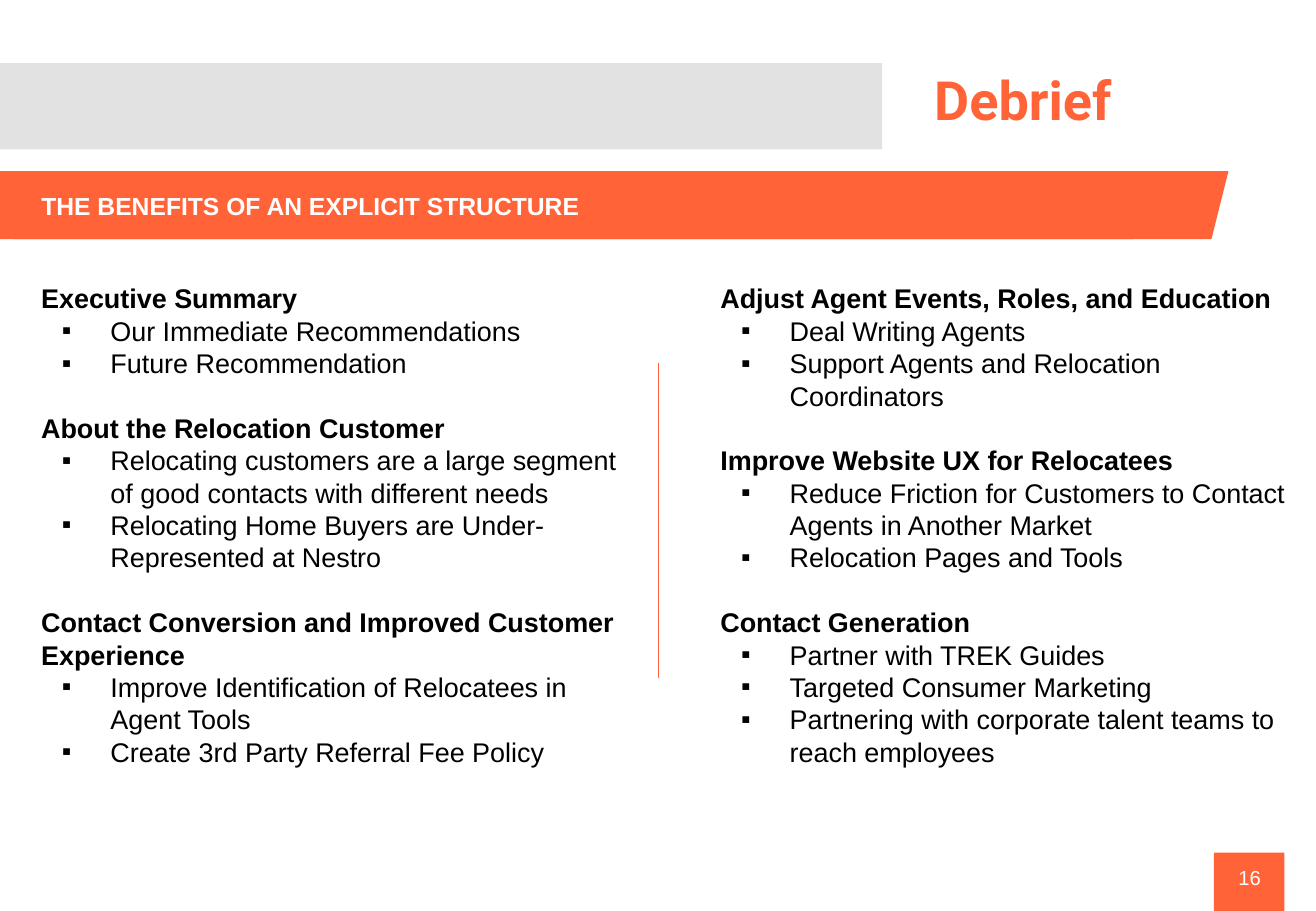
from lxml.etree import SubElement
from pptx import Presentation
from pptx.dml.color import RGBColor
from pptx.enum.shapes import MSO_CONNECTOR, MSO_SHAPE
from pptx.enum.text import MSO_ANCHOR, PP_ALIGN
from pptx.oxml.ns import qn
from pptx.util import Inches, Pt

# Content: each column is a list of (heading, bullets)
TITLE = "Debrief"
BANNER = "THE BENEFITS OF AN EXPLICIT STRUCTURE"
PAGE = "16"
COLUMNS = [
    [
        ("Executive Summary",
         ["Our Immediate Recommendations", "Future Recommendation"]),
        ("About the Relocation Customer",
         ["Relocating customers are a large segment of good contacts with different needs",
          "Relocating Home Buyers are Under-Represented at Nestro"]),
        ("Contact Conversion and Improved Customer Experience",
         ["Improve Identification of Relocatees in Agent Tools",
          "Create 3rd Party Referral Fee Policy"]),
    ],
    [
        ("Adjust Agent Events, Roles, and Education",
         ["Deal Writing Agents", "Support Agents and Relocation Coordinators"]),
        ("Improve Website UX for Relocatees",
         ["Reduce Friction for Customers to Contact Agents in Another Market",
          "Relocation Pages and Tools"]),
        ("Contact Generation",
         ["Partner with TREK Guides", "Targeted Consumer Marketing",
          "Partnering with corporate talent teams to reach employees"]),
    ],
]

# Layout and palette
WIDTH, HEIGHT = 10.83, 7.5
BANNER_TOP, BANNER_H = 1.41, 0.56
BODY_TOP, BODY_H = 2.25, 4.14
COLUMN_SPANS = [(0.24, 4.99), (5.83, 4.88)]  # left, width
BADGE_H = 0.48
LINE_PITCH = 19.2
ORANGE, GREY, WHITE, BLACK = "FF6337", "E2E2E2", "FFFFFF", "000000"

prs = Presentation()
prs.slide_width, prs.slide_height = Inches(WIDTH), Inches(HEIGHT)
slide = prs.slides.add_slide(prs.slide_layouts[6])


def color(value):
    return RGBColor.from_string(value)


def add_block(kind, left, top, width, height, fill):
    sp = slide.shapes.add_shape(
        kind, Inches(left), Inches(top), Inches(width), Inches(height))
    sp.shadow.inherit = False
    sp.fill.solid()
    sp.fill.fore_color.rgb = color(fill)
    sp.line.fill.background()
    return sp


def add_frame(left, top, width, height, anchor=MSO_ANCHOR.MIDDLE):
    tf = slide.shapes.add_textbox(
        Inches(left), Inches(top), Inches(width), Inches(height)).text_frame
    tf.word_wrap = True
    tf.vertical_anchor = anchor
    return tf


def write(p, text, size=16, font="Arial", fill=BLACK, bold=False,
          align=PP_ALIGN.LEFT, pitch=None, before=0):
    p.alignment = align
    p.space_before = Pt(before)
    if pitch:
        p.line_spacing = Pt(pitch)
    r = p.add_run()
    r.text = text
    r.font.size, r.font.name, r.font.bold = Pt(size), font, bold
    r.font.color.rgb = color(fill)


def add_bullet(p, indent=0.57, hanging=0.4):
    pPr = p._p.get_or_add_pPr()
    pPr.set("marL", str(Inches(indent)))
    pPr.set("indent", str(-Inches(hanging)))
    SubElement(pPr, qn("a:buFont")).set("typeface", "Arial")
    SubElement(pPr, qn("a:buChar")).set("char", "▪")


# Page number badge
add_block(MSO_SHAPE.RECTANGLE, 9.99, HEIGHT - BADGE_H, 0.58, BADGE_H, ORANGE)
tf = add_frame(9.95, HEIGHT - BADGE_H, 0.67, 0.4)
write(tf.paragraphs[0], PAGE, size=12, fill=WHITE, align=PP_ALIGN.CENTER)

# Title strip
add_block(MSO_SHAPE.RECTANGLE, 0, 0.52, 7.26, 0.71, GREY)
tf = add_frame(7.59, 0.5, 2.94, 0.64, MSO_ANCHOR.TOP)
write(tf.paragraphs[0], TITLE, size=32, font="Roboto", fill=ORANGE, bold=True)

# Banner with a slanted right end
add_block(MSO_SHAPE.PARALLELOGRAM, 0.11, BANNER_TOP, 10, BANNER_H, ORANGE)
banner = add_block(MSO_SHAPE.RECTANGLE, 0, BANNER_TOP, 9.33, BANNER_H, ORANGE)
tf = banner.text_frame
tf.margin_left = Inches(0.34)
tf.vertical_anchor = MSO_ANCHOR.MIDDLE
write(tf.paragraphs[0], BANNER, size=14.6, fill=WHITE, bold=True)

# Two columns of headed lists
for (left, width), sections in zip(COLUMN_SPANS, COLUMNS):
    tf = add_frame(left, BODY_TOP, width, BODY_H)
    for i, (heading, bullets) in enumerate(sections):
        p = tf.add_paragraph() if i else tf.paragraphs[0]
        write(p, heading, bold=True, pitch=LINE_PITCH,
              before=LINE_PITCH if i else 0)
        for bullet in bullets:
            p = tf.add_paragraph()
            p.level = 1
            write(p, bullet, pitch=LINE_PITCH)
            add_bullet(p)

# Divider between the columns
divider = slide.shapes.add_connector(
    MSO_CONNECTOR.STRAIGHT, Inches(5.42), Inches(2.99), Inches(5.42), Inches(5.58))
divider.line.color.rgb = color(ORANGE)
divider.line.width = Pt(0.5)
SubElement(divider._element.spPr, qn("a:effectLst"))

prs.save("out.pptx")
